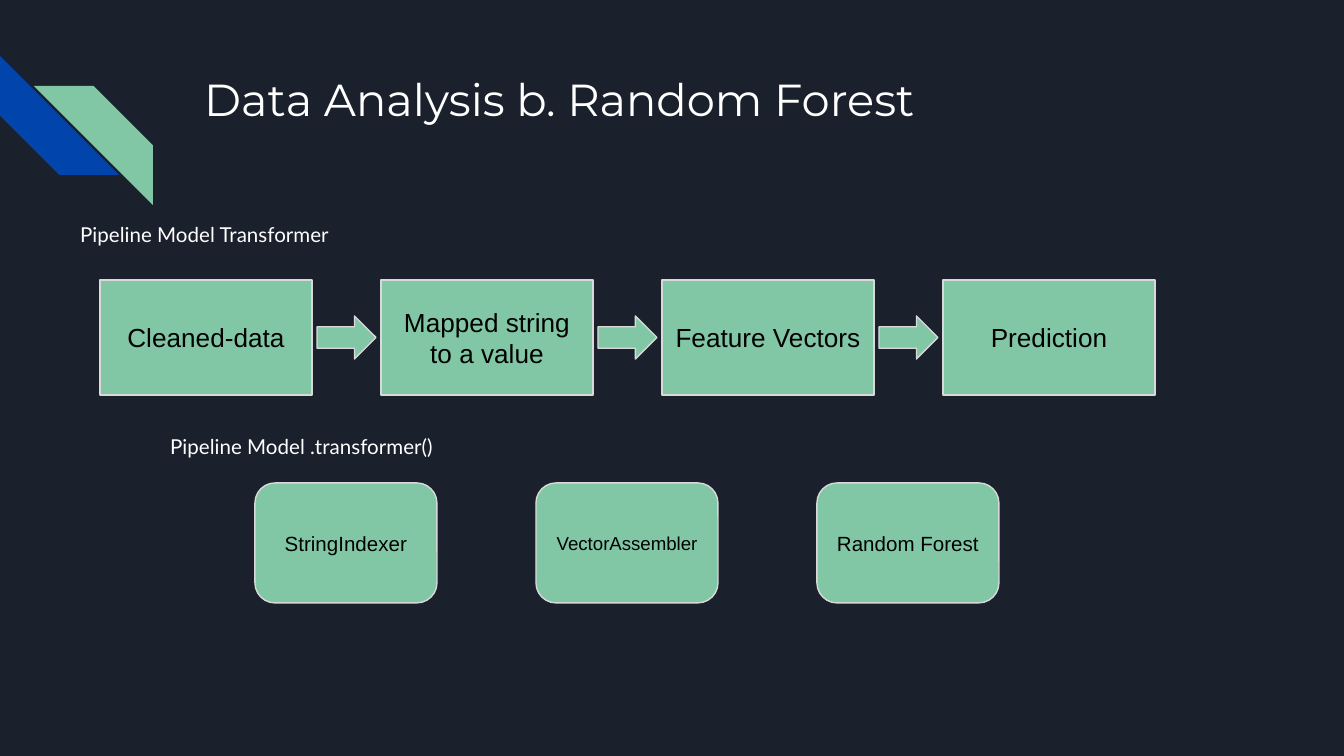
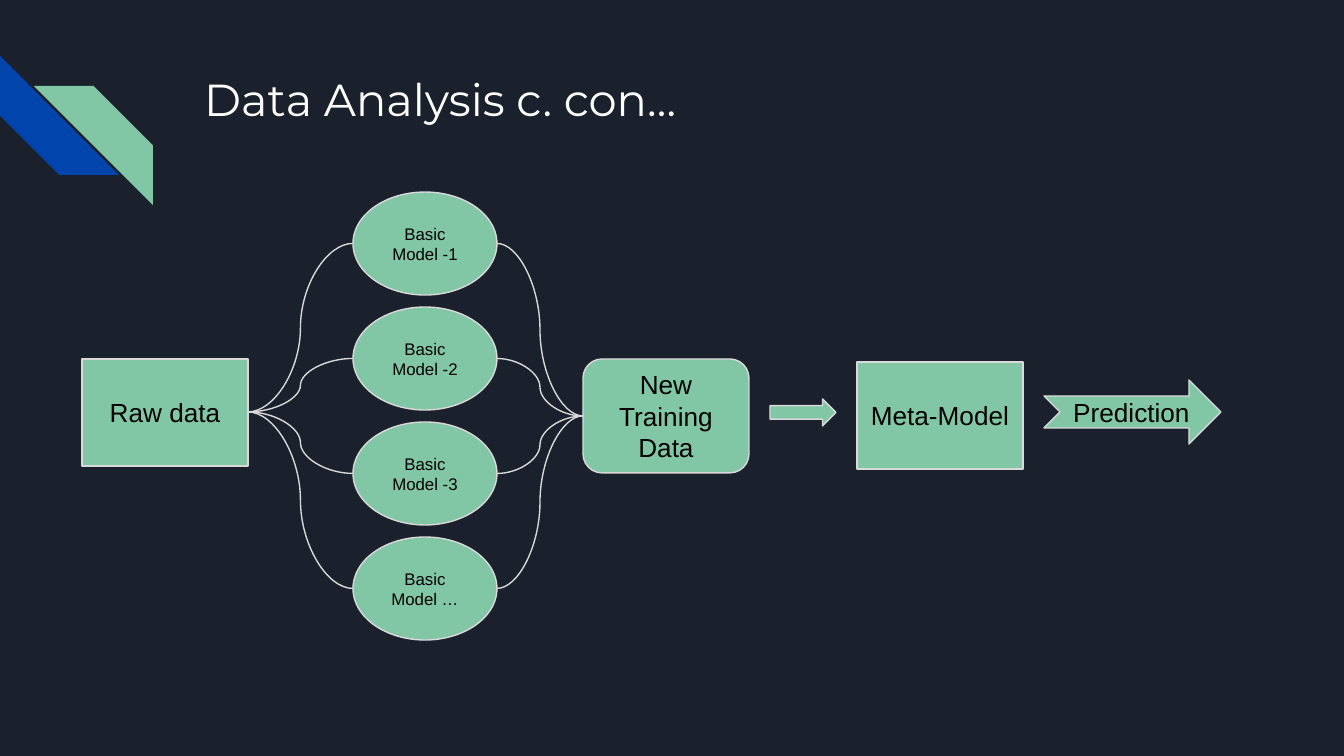
import pptx
import pptx.util
from lxml import etree
from pptx.dml.color import RGBColor
from pptx.enum.shapes import MSO_CONNECTOR, MSO_SHAPE
from pptx.enum.text import MSO_ANCHOR, MSO_AUTO_SIZE, PP_ALIGN
from pptx.oxml.ns import qn

# Content
FOREST_TITLE = "Data Analysis b. Random Forest"
CAPTIONS = [
    ("Pipeline Model Transformer", (67, 210, 278, 52)),
    ("Pipeline Model .transformer()", (157, 422, 378, 52)),
]
STAGES = ["Cleaned-data", "Mapped string to a value", "Feature Vectors", "Prediction"]
TRANSFORMERS = [("StringIndexer", 11), ("VectorAssembler", 10), ("Random Forest", 11)]

STACKING_TITLE = "Data Analysis c. con…"
BASE_MODELS = ["Basic Model -1", "Basic Model -2", "Basic Model -3", "Basic Model …"]

# Shared look
NAVY = RGBColor(0x1B, 0x21, 0x2C)
BLUE = RGBColor(0x01, 0x45, 0xAC)
GREEN = RGBColor(0x82, 0xC7, 0xA5)
GREY = RGBColor(0xD9, 0xD9, 0xD9)
WHITE = RGBColor(0xFF, 0xFF, 0xFF)
BLACK = RGBColor(0, 0, 0)
WIDTH, HEIGHT = 1344, 756
EMU_PER_PX = 9144000 / WIDTH
LINE_WIDTH = pptx.util.Pt(0.75)


def px(*lengths):
    return [pptx.util.Emu(round(n * EMU_PER_PX)) for n in lengths]


def write(sp, text, size, font, color, align=PP_ALIGN.LEFT):
    tf = sp.text_frame
    tf.word_wrap = True
    tf.margin_left = tf.margin_right = tf.margin_top = tf.margin_bottom = pptx.util.Inches(0.1)
    tf.text = text
    p = tf.paragraphs[0]
    p.alignment = align
    r = p.runs[0]
    r.font.size = pptx.util.Pt(size)
    r.font.name = font
    r.font.color.rgb = color
    return tf


def add_text(slide, box, text, size, font):
    tf = write(slide.shapes.add_textbox(*px(*box)), text, size, font, WHITE)
    tf.vertical_anchor = MSO_ANCHOR.TOP
    return tf


def add_filled(slide, kind, box, color):
    sp = slide.shapes.add_shape(kind, *px(*box))
    sp.shadow.inherit = False
    sp.fill.solid()
    sp.fill.fore_color.rgb = color
    sp.line.fill.background()
    return sp


def add_node(slide, kind, box, text="", size=14, align=PP_ALIGN.CENTER):
    sp = add_filled(slide, kind, box, GREEN)
    sp.line.color.rgb = GREY
    sp.line.width = LINE_WIDTH
    if text:
        tf = write(sp, text, size, "Arial", BLACK, align)
        tf.vertical_anchor = MSO_ANCHOR.MIDDLE
    return sp


def add_curve(slide, start, end):
    line = slide.shapes.add_connector(MSO_CONNECTOR.CURVE, *px(*start, *end))
    line.line.color.rgb = GREY
    line.line.width = LINE_WIDTH
    etree.SubElement(line._element.spPr, qn("a:effectLst"))


def add_slide(prs, title):
    slide = prs.slides.add_slide(prs.slide_layouts[6])
    blue_stripe = add_filled(slide, MSO_SHAPE.DIAGONAL_STRIPE, (0, 56, 119, 119), BLUE)
    blue_stripe.rotation = 270
    green_stripe = add_filled(slide, MSO_SHAPE.DIAGONAL_STRIPE, (34, 86, 119, 119), GREEN)
    green_stripe._element.spPr.xfrm.set("flipH", "1")
    add_text(slide, (191, 58, 1035, 134), title, 24, "Montserrat")
    return slide


def build_forest(prs):
    slide = add_slide(prs, FOREST_TITLE)
    step = 281

    # Data stages with arrows between them
    for i, stage in enumerate(STAGES):
        add_node(slide, MSO_SHAPE.RECTANGLE, (100 + i * step, 280, 212, 115), stage)
        if i < len(STAGES) - 1:
            add_node(slide, MSO_SHAPE.RIGHT_ARROW, (317 + i * step, 316, 59, 43))

    # Transformer under each arrow
    for i, (name, size) in enumerate(TRANSFORMERS):
        add_node(slide, MSO_SHAPE.ROUNDED_RECTANGLE, (255 + i * step, 483, 182, 120), name, size)

    for text, box in CAPTIONS:
        tf = add_text(slide, box, text, 11, "Lato")
        tf.auto_size = MSO_AUTO_SIZE.SHAPE_TO_FIT_TEXT


def build_stacking(prs):
    slide = add_slide(prs, STACKING_TITLE)
    left, top, w, h, step = 353, 192, 144, 103, 115
    raw_right, training_left = (248, 412), (583, 416)

    # Flow from raw data to prediction
    add_node(slide, MSO_SHAPE.RECTANGLE, (82, 359, 166, 107), "Raw data")
    add_node(slide, MSO_SHAPE.ROUNDED_RECTANGLE, (583, 359, 166, 114), "New Training Data")
    add_node(slide, MSO_SHAPE.RIGHT_ARROW, (770, 399, 66, 27))
    add_node(slide, MSO_SHAPE.RECTANGLE, (857, 362, 166, 107), "Meta-Model")
    add_node(slide, MSO_SHAPE.NOTCHED_RIGHT_ARROW, (1044, 380, 177, 64), "Prediction",
             align=PP_ALIGN.LEFT)

    # Base models, each curved in from the raw data and out to the training data
    for i, model in enumerate(BASE_MODELS):
        y = top + i * step
        middle = y + h / 2
        add_node(slide, MSO_SHAPE.OVAL, (left, y, w, h), model, 9)
        add_curve(slide, raw_right, (left, middle))
        add_curve(slide, (left + w, middle), training_left)


def main():
    prs = pptx.Presentation()
    prs.slide_width, prs.slide_height = px(WIDTH, HEIGHT)
    fill = prs.slide_master.background.fill
    fill.solid()
    fill.fore_color.rgb = NAVY
    build_forest(prs)
    build_stacking(prs)
    prs.save("out.pptx")


if __name__ == "__main__":
    main()
